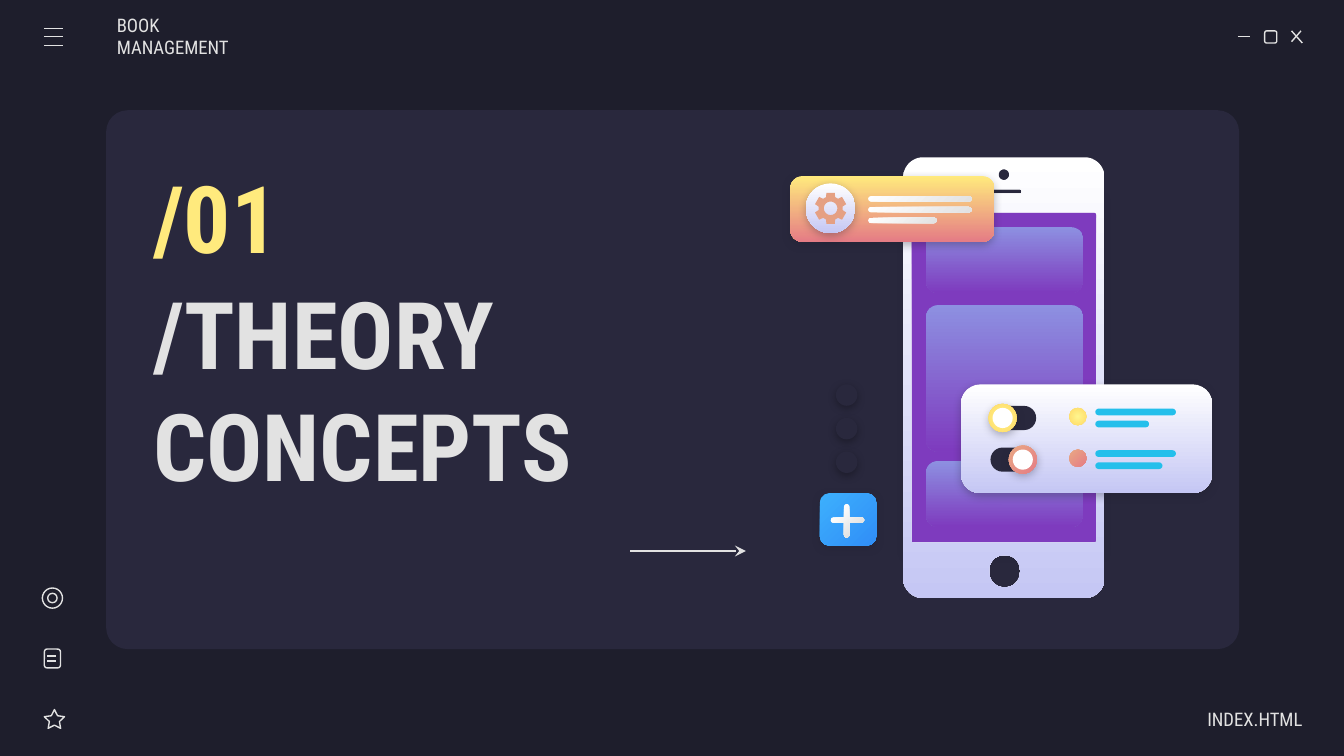
from dataclasses import dataclass
from math import cos, pi, radians, sin
from typing import Optional, Union

from lxml.etree import SubElement
from pptx import Presentation
from pptx.dml.color import RGBColor
from pptx.enum.shapes import MSO_CONNECTOR, MSO_SHAPE
from pptx.enum.text import MSO_ANCHOR, MSO_AUTO_SIZE, PP_ALIGN
from pptx.oxml.ns import qn
from pptx.util import Inches, Pt

FONT = "Roboto Condensed"
LIGHT, DARK, PANEL, YELLOW, PURPLE, CYAN = (
    "E2E2E2", "1E1E2C", "29283D", "FFEA7D", "7E3BBE", "24BFEB")
ROUND, OVAL, STAR = MSO_SHAPE.ROUNDED_RECTANGLE, MSO_SHAPE.OVAL, MSO_SHAPE.STAR_5_POINT


@dataclass(frozen=True)
class Gradient:
    start: str
    end: str
    angle: Optional[int] = 90  # clockwise; None makes it radial


Fill = Union[str, Gradient, None]
Points = list[tuple[float, float]]
SILVER = Gradient("FFFFFF", "C5C7F4")
WHITE_BAR = Gradient("FFFFFF", LIGHT, 45)
SUN = Gradient("FFF68E", "FFD966", None)
CORAL = Gradient("E9A984", "E57C85", 45)
TILE = Gradient("8D90E1", PURPLE)


@dataclass(frozen=True)
class Block:
    left: float
    top: float
    width: float
    height: float
    fill: Fill = None
    kind: MSO_SHAPE = ROUND
    corner: Optional[float] = 0.5
    shadow: Optional[str] = None
    line: Optional[str] = None


@dataclass(frozen=True)
class Label:
    text: str
    box: tuple[float, float, float, float]
    size: int
    color: str = LIGHT
    bold: bool = False
    align: PP_ALIGN = PP_ALIGN.LEFT
    left_inset: float = 0.1
    right_inset: float = 0.1


def rgb(color: str) -> RGBColor:
    return RGBColor.from_string(color)


def paint(shape, fill: Fill) -> None:
    if fill is None:
        shape.fill.background()
    elif isinstance(fill, str):
        shape.fill.solid()
        shape.fill.fore_color.rgb = rgb(fill)
    else:
        shape.fill.gradient()
        for stop, color, position in zip(shape.fill.gradient_stops, (fill.start, fill.end), (0, 1)):
            stop.color.rgb = rgb(color)
            stop.position = position
        if fill.angle is not None:
            shape.fill.gradient_angle = 360 - fill.angle
        else:
            gradient = shape.element.spPr.find(qn("a:gradFill"))
            gradient.remove(gradient.find(qn("a:lin")))
            radial = SubElement(gradient, qn("a:path"), path="circle")
            SubElement(radial, qn("a:fillToRect"), l="50000", t="50000", r="50000", b="50000")


def finish(shape, fill: Fill, line: Optional[str] = None, shadow: Optional[str] = None) -> None:
    """Set the fill, outline and soft downward shadow of a shape."""
    paint(shape, fill)
    if line:
        shape.line.color.rgb = rgb(line)
        shape.line.width = Pt(0.75)
    else:
        shape.line.fill.background()
    shape.shadow.inherit = False
    if shadow:
        effects = shape.element.spPr.find(qn("a:effectLst"))
        outer = SubElement(effects, qn("a:outerShdw"), blurRad=str(Pt(4.5)), dist=str(Pt(1.5)),
                           dir="5400000", algn="bl", rotWithShape="0")
        color = SubElement(outer, qn("a:srgbClr"), val=shadow)
        SubElement(color, qn("a:alpha"), val="30000")


def draw_block(slide, block: Block) -> None:
    box = map(Inches, (block.left, block.top, block.width, block.height))
    shape = slide.shapes.add_shape(block.kind, *box)
    if block.kind != OVAL:
        shape.adjustments[0] = block.corner
    finish(shape, block.fill, block.line, block.shadow)


def draw_circle(slide, x: float, y: float, size: float, fill: Fill = None,
                shadow: Optional[str] = None, line: Optional[str] = None) -> None:
    draw_block(slide, Block(x - size / 2, y - size / 2, size, size, fill, OVAL,
                            shadow=shadow, line=line))


def draw_line(slide, x1: float, y1: float, x2: float, y2: float, arrow: bool = False) -> None:
    line = slide.shapes.add_connector(MSO_CONNECTOR.STRAIGHT, *map(Inches, (x1, y1, x2, y2)))
    line.line.color.rgb = rgb(LIGHT)
    line.line.width = Pt(0.75)
    if arrow:
        SubElement(line.line._get_or_add_ln(), qn("a:tailEnd"), type="stealth")
    SubElement(line.element.spPr, qn("a:effectLst"))


def draw_outline(slide, contours: list[Points], fill: Fill) -> None:
    """Draw one freeform; contours inside the first become holes."""
    scaled = [[(Inches(x), Inches(y)) for x, y in points] for points in contours]
    builder = slide.shapes.build_freeform(*scaled[0][0], scale=1.0)
    for index, points in enumerate(scaled):
        if index:
            builder.move_to(*points[0])
        builder.add_line_segments(points[1:], close=True)
    finish(builder.convert_to_shape(), fill)


def rounded_contour(left: float, top: float, width: float, height: float, radius: float) -> Points:
    right, bottom = left + width - radius, top + height - radius
    corners = ((right, bottom), (left + radius, bottom), (left + radius, top + radius),
               (right, top + radius))
    steps = 12
    angles = [[(quarter + step / steps) * pi / 2 for step in range(steps + 1)]
              for quarter in range(4)]
    return [(x + radius * cos(angle), y + radius * sin(angle))
            for (x, y), arc in zip(corners, angles) for angle in arc]


def gear_contour(x: float, y: float, teeth: int = 6) -> Points:
    profile = ((-22, 0.09), (-15, 0.12), (15, 0.12), (22, 0.09))
    polar = [(radians(360 / teeth * tooth - 90 + offset), radius)
             for tooth in range(teeth) for offset, radius in profile]
    return [(x + radius * cos(angle), y + radius * sin(angle)) for angle, radius in polar]


def write_label(shape, label: Label) -> None:
    shape.left, shape.top, shape.width, shape.height = map(Inches, label.box)
    frame = shape.text_frame
    frame.text = label.text
    frame_format = {"word_wrap": True, "auto_size": MSO_AUTO_SIZE.NONE,
                    "vertical_anchor": MSO_ANCHOR.MIDDLE,
                    "margin_left": Inches(label.left_inset),
                    "margin_right": Inches(label.right_inset),
                    "margin_top": Inches(0.1), "margin_bottom": Inches(0.1)}
    paragraph = frame.paragraphs[0]
    paragraph_format = {"alignment": label.align, "line_spacing": 1.0, "space_before": Pt(0)}
    font_format = {"name": FONT, "size": Pt(label.size), "bold": label.bold}
    for target, values in ((frame, frame_format), (paragraph, paragraph_format),
                           (paragraph.runs[0].font, font_format)):
        for name, value in values.items():
            setattr(target, name, value)
    paragraph.runs[0].font.color.rgb = rgb(label.color)


def draw_window(slide) -> None:
    """Draw the panel, window buttons and side icons."""
    draw_block(slide, Block(0.79, 0.82, 8.43, 4.01, PANEL, corner=0.04))
    draw_block(slide, Block(9.41, 0.23, 0.09, 0.09, corner=0.17, line=LIGHT))
    draw_block(slide, Block(0.33, 5.28, 0.15, 0.14, kind=STAR, corner=0.25, line=LIGHT))
    draw_block(slide, Block(0.33, 4.83, 0.12, 0.14, corner=0.17, line=LIGHT))
    for size in (0.15, 0.07):
        draw_circle(slide, 0.39, 4.45, size, line=LIGHT)
    for y in (0.21, 0.27, 0.34):
        draw_line(slide, 0.33, y, 0.47, y)
    for y in (4.88, 4.92):
        draw_line(slide, 0.35, y, 0.42, y)
    draw_line(slide, 9.21, 0.27, 9.3, 0.27)
    draw_line(slide, 9.61, 0.23, 9.69, 0.32)
    draw_line(slide, 9.68, 0.23, 9.61, 0.31)
    draw_line(slide, 4.69, 4.1, 5.55, 4.1, arrow=True)


def draw_phone(slide) -> None:
    draw_block(slide, Block(6.74, 1.47, 1.46, 2.63, PURPLE, corner=0, shadow=DARK))
    for top, height in ((1.69, 0.49), (2.27, 1.09), (3.43, 0.49)):
        draw_block(slide, Block(6.89, top, 1.17, height, TILE, corner=0.09 / height))
    body = (6.72, 1.17, 1.5, 3.28, 0.15)
    holes = ((7.43, 1.26, 0.08, 0.08, 0.04), (7.35, 1.41, 0.25, 0.03, 0.01),
             (6.78, 1.58, 1.38, 2.46, 0.02), (7.36, 4.13, 0.23, 0.24, 0.11))
    draw_outline(slide, [rounded_contour(*box) for box in (body, *holes)], SILVER)


def draw_cards(slide) -> None:
    draw_block(slide, Block(5.88, 1.31, 1.52, 0.49, Gradient(YELLOW, "E57C85"), corner=0.19,
                            shadow=DARK))
    draw_circle(slide, 6.18, 1.55, 0.37, SILVER, DARK)
    draw_outline(slide, [gear_contour(6.18, 1.55), rounded_contour(6.13, 1.5, 0.1, 0.1, 0.05)],
                 "E5A083")
    for row, width in enumerate((0.77, 0.77, 0.51)):
        draw_block(slide, Block(6.46, 1.46 + 0.08 * row, width, 0.04, WHITE_BAR))
    draw_block(slide, Block(7.15, 2.86, 1.87, 0.81, SILVER, corner=0.18, shadow=DARK))
    for y, knob, color, short_width in ((3.11, 7.46, SUN, 0.4), (3.42, 7.61, CORAL, 0.5)):
        draw_block(slide, Block(7.37, y - 0.09, 0.34, 0.18, PANEL))
        draw_circle(slide, knob, y, 0.21, color, DARK)
        draw_circle(slide, knob, y, 0.15, "FFFFFF")
        draw_circle(slide, 8.02, y - 0.01, 0.13, color)
        draw_block(slide, Block(8.15, y - 0.07, 0.6, 0.05, CYAN))
        draw_block(slide, Block(8.15, y + 0.02, short_width, 0.05, CYAN))
    draw_block(slide, Block(6.1, 3.67, 0.42, 0.39, Gradient("3DB0FD", "308EF7", 45),
                            corner=0.18, shadow=DARK))
    draw_block(slide, Block(6.18, 3.85, 0.25, 0.04, WHITE_BAR))
    draw_block(slide, Block(6.28, 3.75, 0.04, 0.25, WHITE_BAR))
    for row in range(3):
        draw_circle(slide, 6.3, 2.94 + 0.25 * row, 0.16, PANEL, "000000")


def main() -> None:
    presentation = Presentation()
    presentation.slide_width = Inches(10)
    presentation.slide_height = Inches(10) * 9 // 16
    slide = presentation.slides.add_slide(presentation.slide_layouts[5])
    slide.background.fill.solid()
    slide.background.fill.fore_color.rgb = rgb(DARK)
    draw_window(slide)
    draw_phone(slide)
    draw_cards(slide)
    title = slide.shapes.title
    title.element.getparent().append(title.element)  # bring in front of the panel
    write_label(title, Label("/THEORY CONCEPTS", (1.04, 2.07, 4.3, 1.64), 50, bold=True))
    for label in (
        Label("/01", (1.04, 1.15, 1.78, 0.92), 50, YELLOW, bold=True),
        Label("BOOK MANAGEMENT", (0.87, 0.12, 1.17, 0.3), 10, left_inset=0),
        Label("INDEX.HTML", (8.52, 5.2, 1.17, 0.3), 10, align=PP_ALIGN.RIGHT, right_inset=0),
    ):
        write_label(slide.shapes.add_textbox(0, 0, 0, 0), label)
    presentation.save("out.pptx")


if __name__ == "__main__":
    main()
